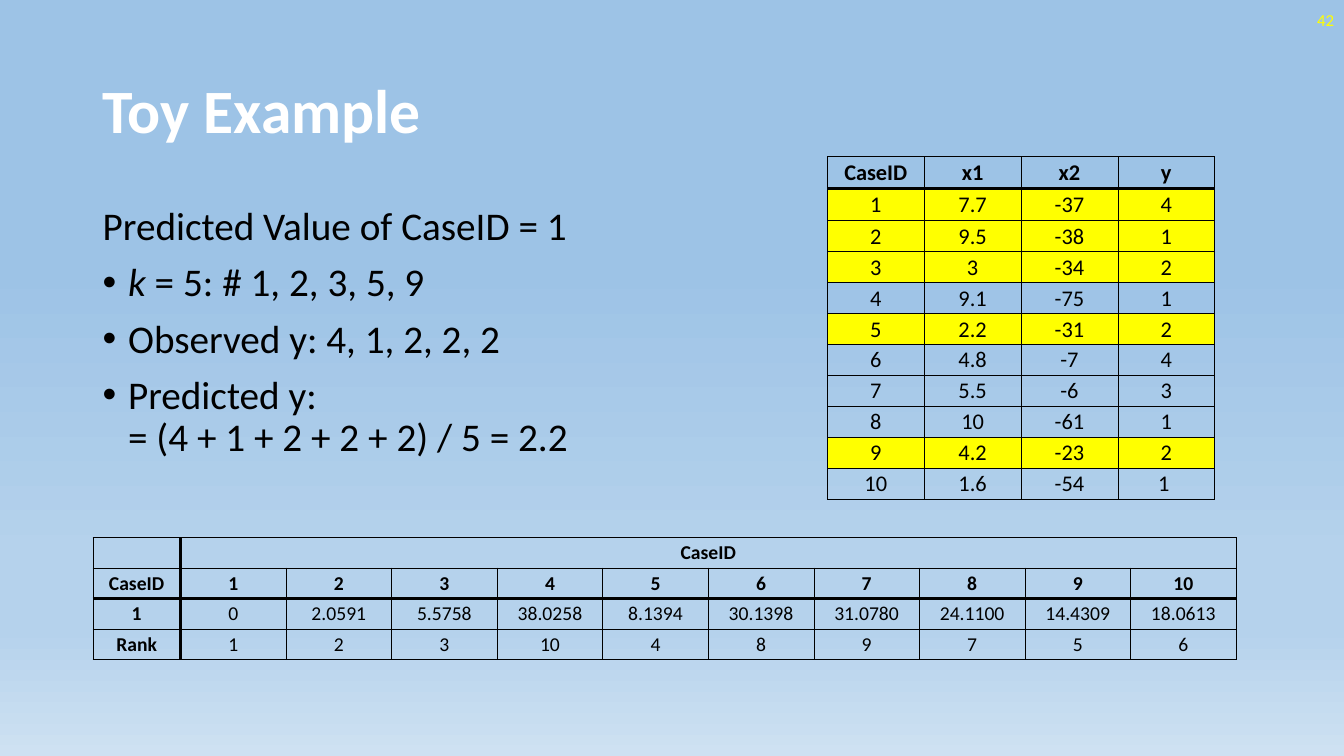
import pptx
import pptx.dml.color
import pptx.enum.text
import pptx.oxml
import pptx.oxml.ns
import pptx.util
from lxml import etree

Cm = pptx.util.Cm
Pt = pptx.util.Pt
RGBColor = pptx.dml.color.RGBColor
Align = pptx.enum.text.PP_ALIGN
Anchor = pptx.enum.text.MSO_ANCHOR
qn = pptx.oxml.ns.qn

BLACK = RGBColor(0x00, 0x00, 0x00)
WHITE = RGBColor(0xFF, 0xFF, 0xFF)
YELLOW = RGBColor(0xFF, 0xFF, 0x00)
SKY = RGBColor(0x9D, 0xC3, 0xE6)
PALE_SKY = RGBColor(0xB5, 0xD2, 0xEC)
HORIZON = RGBColor(0xCE, 0xE1, 0xF2)

THIN, HEAVY = 0.5, 2

CASES = [
    ["CaseID", "x1", "x2", "y"],
    ["1", "7.7", "-37", "4"],
    ["2", "9.5", "-38", "1"],
    ["3", "3", "-34", "2"],
    ["4", "9.1", "-75", "1"],
    ["5", "2.2", "-31", "2"],
    ["6", "4.8", "-7", "4"],
    ["7", "5.5", "-6", "3"],
    ["8", "10", "-61", "1"],
    ["9", "4.2", "-23", "2"],
    ["10", "1.6", "-54", "1 "],
]
NEIGHBOURS = {1, 2, 3, 5, 9}

DISTANCES = [
    ["", "CaseID"] + [""] * 9,
    ["CaseID"] + [str(n) for n in range(1, 11)],
    ["1", "0", "2.0591", "5.5758", "38.0258", "8.1394",
     "30.1398", "31.0780", "24.1100", "14.4309", "18.0613"],
    ["Rank", "1", "2", "3", "10", "4", "8", "9", "7", "5", "6"],
]


class SlideBuilder:
    """Holds the style and the current slide."""

    font = "Calibri"

    def __init__(self, s):
        self.s = s

    def background(self, stops):
        fill = self.s.background.fill
        fill.gradient()
        fill.gradient_angle = 270
        gs_list = next(self.s._element.iter(qn("a:gsLst")))
        for gs in list(gs_list):
            gs_list.remove(gs)
        for percent, color in stops:
            gs = etree.SubElement(gs_list, qn("a:gs"), pos=str(percent * 1000))
            etree.SubElement(gs, qn("a:srgbClr"), val=str(color))

    def style(self, p, size, color=BLACK, bold=False):
        for r in p.runs:
            r.font.name = self.font
            r.font.size = Pt(size)
            r.font.bold = bold
            r.font.color.rgb = color

    def text(self, box, text, size, color, bold=False, align=Align.LEFT, spacing=1.0):
        tf = self.s.shapes.add_textbox(*map(Cm, box)).text_frame
        tf.word_wrap = True
        tf.vertical_anchor = Anchor.MIDDLE
        p = tf.paragraphs[0]
        p.text = text
        p.alignment = align
        p.line_spacing = spacing
        self.style(p, size, color, bold)

    def body(self, box, lead, points, size):
        tf = self.s.shapes.add_textbox(*map(Cm, box)).text_frame
        tf.word_wrap = True
        tf._txBody.bodyPr.set("numCol", "2")
        for i, parts in enumerate([[lead]] + points):
            p = tf.add_paragraph() if i else tf.paragraphs[0]
            p.text = parts[0]
            for part in parts[1:]:
                p.add_run().text = part
            p.line_spacing = 0.9
            if i:
                p.space_before = Pt(10)
                self.bullet(p)
            self.style(p, size)
            # The first part of a split point is a variable name
            p.runs[0].font.italic = len(parts) > 1

    def bullet(self, p):
        pPr = p._p.get_or_add_pPr()
        indent = Cm(0.64)
        pPr.set("marL", str(indent))
        pPr.set("indent", str(-indent))
        etree.SubElement(pPr, qn("a:buFont"), typeface="Arial")
        etree.SubElement(pPr, qn("a:buChar"), char="•")

    def border(self, cell, **widths):
        tcPr = cell._tc.get_or_add_tcPr()
        for side, width in widths.items():
            ln = etree.SubElement(tcPr, qn("a:ln" + side), w=str(Pt(width)))
            solid = etree.SubElement(ln, qn("a:solidFill"))
            etree.SubElement(solid, qn("a:srgbClr"), val=str(BLACK))

    def table(self, left, top, col_widths, row_heights, rows, size,
              header_rows, header_cols=0, marked=()):
        """Heavy rules separate the bold header rows and columns from the data."""
        shape = self.s.shapes.add_table(
            len(rows), len(rows[0]), Cm(left), Cm(top),
            Cm(sum(col_widths)), Cm(sum(row_heights)))
        table = shape.table
        table.first_row = table.horz_banding = False
        for column, width in zip(table.columns, col_widths):
            column.width = Cm(width)
        for row, height in zip(table.rows, row_heights):
            row.height = Cm(height)

        def rule(edge, header):
            return HEAVY if header and edge == header else THIN

        for i, values in enumerate(rows):
            for j, value in enumerate(values):
                cell = table.cell(i, j)
                self.border(cell, L=rule(j, header_cols), R=rule(j + 1, header_cols),
                            T=rule(i, header_rows), B=rule(i + 1, header_rows))
                if i in marked:
                    cell.fill.solid()
                    cell.fill.fore_color.rgb = YELLOW
                else:
                    cell.fill.background()
                cell.margin_left = cell.margin_right = cell.margin_top = Cm(0.02)
                cell.margin_bottom = 0
                cell.vertical_anchor = Anchor.MIDDLE
                p = cell.text_frame.paragraphs[0]
                p.alignment = Align.CENTER
                if value:
                    p.text = value
                    self.style(p, size, bold=i < header_rows or j < header_cols)
                else:
                    etree.SubElement(p._p, qn("a:endParaRPr"), sz=str(size * 100))
        return table


def main():
    prs = pptx.Presentation()
    prs.slide_width, prs.slide_height = Cm(33.87), Cm(19.05)
    slide = SlideBuilder(prs.slides.add_slide(prs.slide_layouts[6]))
    slide.background([(35, SKY), (74, PALE_SKY), (83, PALE_SKY), (100, HORIZON)])

    # Explanation
    slide.body((2.34, 5.08, 29.2, 8.13), "Predicted Value of CaseID = 1", [
        ["k", " = 5: # 1, 2, 3, 5, 9"],
        ["Observed y: 4, 1, 2, 2, 2"],
        ["Predicted y:\n= (4 + 1 + 2 + 2 + 2) / 5 = 2.2"],
    ], 28)

    # Title and slide number
    slide.text((2.34, 1.02, 29.2, 3.68), "Toy Example", 44, WHITE, bold=True, spacing=0.9)
    slide.text((26.25, 0, 7.62, 1.02), "42", 12, YELLOW, align=Align.RIGHT)

    # Distances from case 1, with their ranks
    distances = slide.table(2.34, 13.54, [2.21] + [2.66] * 10, [0.77] * 4,
                            DISTANCES, 14, header_rows=2, header_cols=1)
    distances.cell(0, 1).merge(distances.cell(0, 10))

    # Cases, with the nearest neighbours marked
    slide.table(20.85, 3.94, [2.44] * 4, [0.81] * 2 + [0.78] * 9,
                CASES, 16, header_rows=1, marked=NEIGHBOURS)

    prs.save("out.pptx")


if __name__ == "__main__":
    main()
